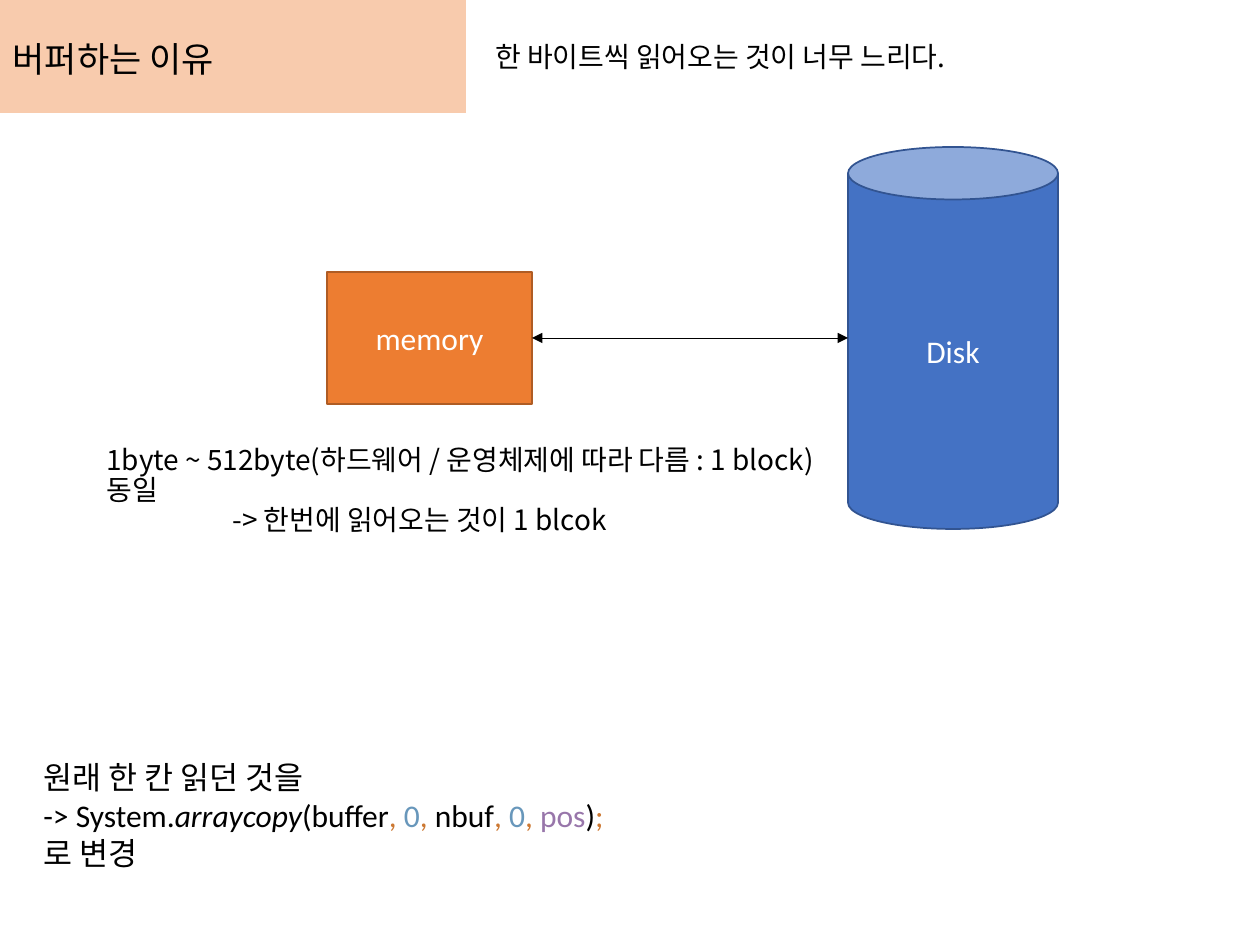
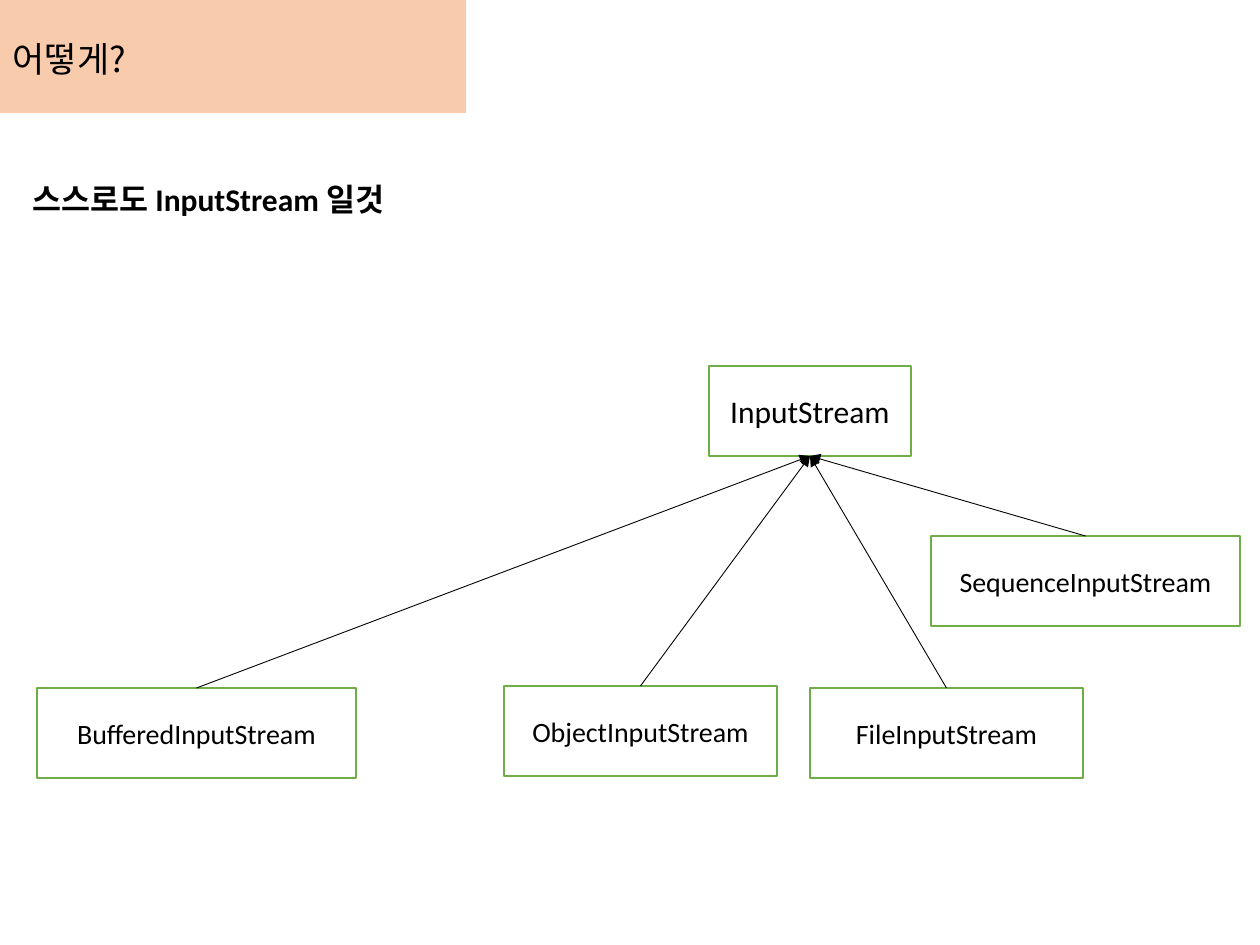
"""Build two slides on why input streams are buffered and how the classes relate."""
import pptx
import pptx.util
import pptx.dml.color
import pptx.enum.shapes
import pptx.enum.text
import pptx.oxml.ns
import lxml.etree

COLORS = {
    "band": "F8CBAD", "black": "000000", "white": "FFFFFF",
    "orange": "ED7D31", "orange_edge": "AF5C24",
    "blue": "4472C4", "blue_edge": "325491", "green": "70AD47",
    "mark": "CC7832", "number": "6897BB", "field": "9876AA",
}
LATIN, KOREAN = "Calibri", "Noto Sans CJK KR"
BAND = (0, 0, 466, 113)
TITLE = (0, 26, 299, 60)
TAB = 126

TITLES = ["버퍼하는 이유", "어떻게?"]
PROBLEM = [["한 바이트씩 읽어오는 것이 너무 느리다."]]
BLOCK_NOTE = [
    ["1byte ~ 512byte(하드웨어 / 운영체제에 따라 다름 : 1 block)"],
    ["동일"],
    ["-> 한번에 읽어오는 것이 1 blcok"],
]
CHANGE = [
    ["원래 한 칸 읽던 것을"],
    ["-> System.", ("arraycopy", "black", True), "(buffer",
     (", ", "mark"), ("0", "number"), (", ", "mark"), "nbuf",
     (", ", "mark"), ("0", "number"), (", ", "mark"),
     ("pos", "field"), ")", (";", "mark")],
    ["로 변경"],
]
RULE = [["스스로도 InputStream 일것"]]
MEMORY = ("memory", (327, 272, 205, 132))
DISK = ("Disk", (848, 147, 210, 382))
PARENT = ("InputStream", (709, 366, 202, 90))
CHILDREN = [
    ("FileInputStream", (810, 688, 273, 90)),
    ("ObjectInputStream", (504, 686, 273, 90)),
    ("SequenceInputStream", (931, 536, 309, 90)),
    ("BufferedInputStream", (37, 688, 319, 90)),
]

SHAPE = pptx.enum.shapes.MSO_SHAPE
ANCHOR = pptx.enum.text.MSO_ANCHOR
ALIGN = pptx.enum.text.PP_ALIGN
qn = pptx.oxml.ns.qn


def px(n):
    return pptx.util.Emu(round(n * 914400 / 126))


def rgb(name):
    return pptx.dml.color.RGBColor.from_string(COLORS[name])


def add_run(p, text, size, color="black", italic=False, bold=False, font=LATIN):
    r = p.add_run()
    r.text = text
    r.font.size = pptx.util.Pt(size)
    r.font.name = font
    r.font.bold = bold
    r.font.italic = italic
    r.font.color.rgb = rgb(color)
    ea = lxml.etree.SubElement(r.font._element, qn("a:ea"))
    ea.set("typeface", KOREAN)


def add_text(s, box, lines, size, font=LATIN, bold=False, spacing=1.0):
    tf = s.shapes.add_textbox(*map(px, box)).text_frame
    tf.word_wrap = True
    for i, line in enumerate(lines):
        p = tf.paragraphs[0] if i == 0 else tf.add_paragraph()
        p.line_spacing = spacing
        for part in line:
            text, *style = (part,) if isinstance(part, str) else part
            add_run(p, text, size, *style, bold=bold, font=font)
    return tf


def add_box(s, node, fill, edge, color, size=18, kind=SHAPE.RECTANGLE):
    text, box = node
    sp = s.shapes.add_shape(kind, *map(px, box))
    sp.shadow.inherit = False
    sp.fill.solid()
    sp.fill.fore_color.rgb = rgb(fill)
    if edge:
        sp.line.color.rgb = rgb(edge)
        sp.line.width = pptx.util.Pt(1)
    else:
        sp.line.fill.background()
    if text:
        tf = sp.text_frame
        tf.vertical_anchor = ANCHOR.MIDDLE
        p = tf.paragraphs[0]
        p.alignment = ALIGN.CENTER
        add_run(p, text, size, color)
    return sp


def add_arrow(s, start, end, heads):
    c = s.shapes.add_connector(
        pptx.enum.shapes.MSO_CONNECTOR.STRAIGHT, *map(px, start + end))
    c.line.color.rgb = rgb("black")
    c.line.width = pptx.util.Pt(0.5)
    ln = c.line._get_or_add_ln()
    for head in heads:
        lxml.etree.SubElement(ln, qn("a:" + head)).set("type", "triangle")
    lxml.etree.SubElement(c._element.spPr, qn("a:effectLst"))
    return c


def add_slide(prs, title):
    s = prs.slides.add_slide(prs.slide_layouts[5])
    band = add_box(s, ("", BAND), "band", None, "black")
    sp = s.shapes.title
    band._element.addnext(sp._element)
    sp.left, sp.top, sp.width, sp.height = map(px, TITLE)
    tf = sp.text_frame
    tf.word_wrap = True
    tf.auto_size = pptx.enum.text.MSO_AUTO_SIZE.NONE
    tf.vertical_anchor = ANCHOR.BOTTOM
    p = tf.paragraphs[0]
    p.alignment = ALIGN.LEFT
    p.line_spacing = 1.5
    add_run(p, title, 20, font=KOREAN)
    return s


def build_reason(s):
    note = add_text(s, (94, 440, 827, 59), BLOCK_NOTE, 16, KOREAN, spacing=0.9)
    note.paragraphs[-1]._p.get_or_add_pPr().set("marL", str(px(TAB)))
    add_box(s, MEMORY, "orange", "orange_edge", "white")
    add_box(s, DISK, "blue", "blue_edge", "white", kind=SHAPE.CAN)
    left, top, width, height = MEMORY[1]
    middle = top + height / 2
    add_arrow(s, (left + width, middle), (DISK[1][0], middle),
              ("headEnd", "tailEnd"))
    add_text(s, (483, 37, 563, 55), PROBLEM, 16, KOREAN, spacing=0.9)
    change = add_text(s, (31, 714, 630, 204), CHANGE, 18)
    change.margin_top = px(44)


def build_tree(s):
    parent = add_box(s, PARENT, "white", "green", "black")
    for node in CHILDREN:
        child = add_box(s, node, "white", "green", "black", 16)
        c = add_arrow(s, (0, 0), (0, 0), ("tailEnd",))
        c.begin_connect(child, 0)
        c.end_connect(parent, 2)
    add_text(s, (20, 174, 401, 50), RULE, 18, bold=True)


prs = pptx.Presentation()
prs.slide_width, prs.slide_height = px(1260), px(945)
for title, build in zip(TITLES, (build_reason, build_tree)):
    build(add_slide(prs, title))
prs.save("out.pptx")
